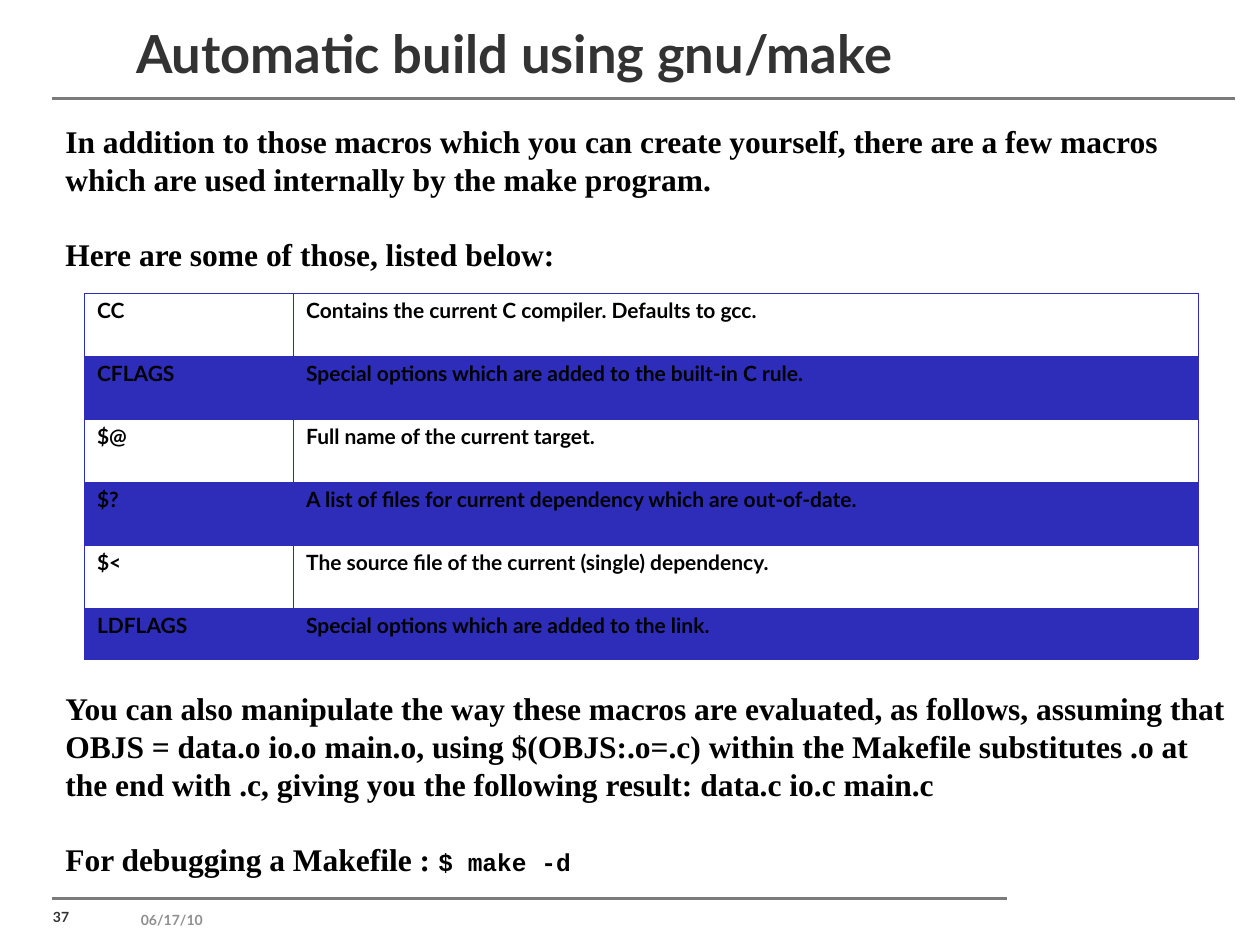
from dataclasses import dataclass

import pptx
import pptx.dml.color
import pptx.enum.shapes
import pptx.enum.text
import pptx.oxml
import pptx.oxml.ns
import pptx.util
from pptx.util import Inches

COLORS = {"rule": "7B7B7B", "heading": "333333", "date": "8F8F8F",
          "text": "000000", "band": "2D2DB9"}
ANCHOR = pptx.enum.text.MSO_ANCHOR
LINE_PITCH = 21.6


@dataclass
class Style:
    font: str
    size: float
    color: str


@dataclass
class Label:
    text: str
    box: tuple[float, float, float, float]
    style: Style
    anchor: ANCHOR
    margins: tuple[float, float]


@dataclass
class Passage:
    runs: list[tuple[str, Style]]
    blank_lines_before: int


@dataclass
class Macro:
    name: str
    meaning: str


PROSE = Style("Times New Roman", 18, "text")
COMMAND = Style("Courier New", 14, "text")
ENTRY = Style("Lato", 12, "text")

LABELS = [
    Label("37", (0.42, 7.17, 0.32, 0.17), Style("Lato", 8, "heading"), ANCHOR.BOTTOM, (0, 0)),
    Label("06/17/10", (1.02, 7.1, 2.33, 0.4), Style("Lato", 8, "date"), ANCHOR.MIDDLE, (0.1, 0.05)),
    Label("Automatic build using gnu/make", (1.08, 0.09, 8.92, 0.66),
          Style("Lato", 30, "heading"), ANCHOR.MIDDLE, (0, 0)),
]

PASSAGES = [
    Passage([("In addition to those macros which you can create yourself, there are a few "
              "macros which are used internally by the make program.", PROSE)], 0),
    Passage([("Here are some of those, listed below:", PROSE)], 1),
    Passage([("You can also manipulate the way these macros are evaluated, as follows, "
              "assuming that OBJS = data.o io.o main.o, using $(OBJS:.o=.c) within the "
              "Makefile substitutes .o at the end with .c, giving you the following "
              "result: data.c io.c main.c", PROSE)], 11),
    Passage([("For debugging a Makefile : ", PROSE), ("$ make -d", COMMAND)], 1),
]

MACROS = [
    Macro("CC", "Contains the current C compiler. Defaults to gcc."),
    Macro("CFLAGS", "Special options which are added to the built-in C rule."),
    Macro("$@", "Full name of the current target."),
    Macro("$?", "A list of files for current dependency which are out-of-date."),
    Macro("$<", "The source file of the current (single) dependency."),
    Macro("LDFLAGS", "Special options which are added to the link."),
]


def rgb(name: str) -> pptx.dml.color.RGBColor:
    return pptx.dml.color.RGBColor.from_string(COLORS[name])


def add_run(paragraph, text: str, style: Style) -> None:
    run = paragraph.add_run()
    run.text = text
    run.font.name = style.font
    run.font.size = pptx.util.Pt(style.size)
    run.font.bold = True
    run.font.color.rgb = rgb(style.color)


def add_rule(slide, left: float, right: float, y: float) -> None:
    rule = slide.shapes.add_connector(
        pptx.enum.shapes.MSO_CONNECTOR.STRAIGHT,
        Inches(left), Inches(y), Inches(right), Inches(y))
    rule.line.color.rgb = rgb("rule")
    rule.line.width = pptx.util.Pt(1.5)
    rule.element.spPr.append(pptx.oxml.parse_xml(
        f"<a:effectLst {pptx.oxml.ns.nsdecls('a')}/>"))


def add_frame(slide, box: tuple[float, float, float, float],
              anchor: ANCHOR, margins: tuple[float, float]):
    frame = slide.shapes.add_textbox(*map(Inches, box)).text_frame
    frame.word_wrap = True
    frame.vertical_anchor = anchor
    frame.margin_left = frame.margin_right = Inches(margins[0])
    frame.margin_top = frame.margin_bottom = Inches(margins[1])
    return frame


def add_label(slide, label: Label) -> None:
    frame = add_frame(slide, label.box, label.anchor, label.margins)
    add_run(frame.paragraphs[0], label.text, label.style)


def add_passages(slide, passages: list[Passage]) -> None:
    frame = add_frame(slide, (0.42, 0.92, 9.42, 6.1), ANCHOR.TOP, (0.1, 0.05))
    for index, passage in enumerate(passages):
        paragraph = frame.add_paragraph() if index else frame.paragraphs[0]
        paragraph.line_spacing = pptx.util.Pt(LINE_PITCH)
        if passage.blank_lines_before:
            paragraph.space_before = pptx.util.Pt(passage.blank_lines_before * LINE_PITCH)
        for text, style in passage.runs:
            add_run(paragraph, text, style)


def add_borders(cell) -> None:
    """Outline a cell; call before its fill is set, as borders come first in tcPr."""
    properties = cell._tc.get_or_add_tcPr()
    for side in ("lnL", "lnR", "lnT", "lnB"):
        properties.append(pptx.oxml.parse_xml(
            f'<a:{side} {pptx.oxml.ns.nsdecls("a")} w="{pptx.util.Pt(0.06)}">'
            f'<a:solidFill><a:srgbClr val="{COLORS["band"]}"/></a:solidFill></a:{side}>'))


def add_macro_table(slide, macros: list[Macro]) -> None:
    widths = (1.66, 7.18)
    heights = [0.5] * (len(macros) - 1) + [0.4]
    table = slide.shapes.add_table(
        len(macros), len(widths), Inches(0.67), Inches(2.33),
        Inches(sum(widths)), Inches(sum(heights))).table
    table.first_row = table.horz_banding = False
    for column, width in zip(table.columns, widths):
        column.width = Inches(width)
    for index, (macro, row, height) in enumerate(zip(macros, table.rows, heights)):
        row.height = Inches(height)
        for cell, text in zip(row.cells, (macro.name, macro.meaning)):
            add_borders(cell)
            if index % 2:
                cell.fill.solid()
                cell.fill.fore_color.rgb = rgb("band")
            else:
                cell.fill.background()
            paragraph = cell.text_frame.paragraphs[0]
            paragraph.line_spacing = 0.91
            add_run(paragraph, text, ENTRY)


def main() -> None:
    deck = pptx.Presentation()
    deck.slide_width, deck.slide_height = Inches(10), Inches(7.5)
    slide = deck.slides.add_slide(deck.slide_layouts[6])
    add_rule(slide, 0.41, 9.8, 0.78)
    add_rule(slide, 0.41, 7.99, 7.13)
    for label in LABELS:
        add_label(slide, label)
    add_passages(slide, PASSAGES)
    add_macro_table(slide, MACROS)
    deck.save("out.pptx")


if __name__ == "__main__":
    main()
